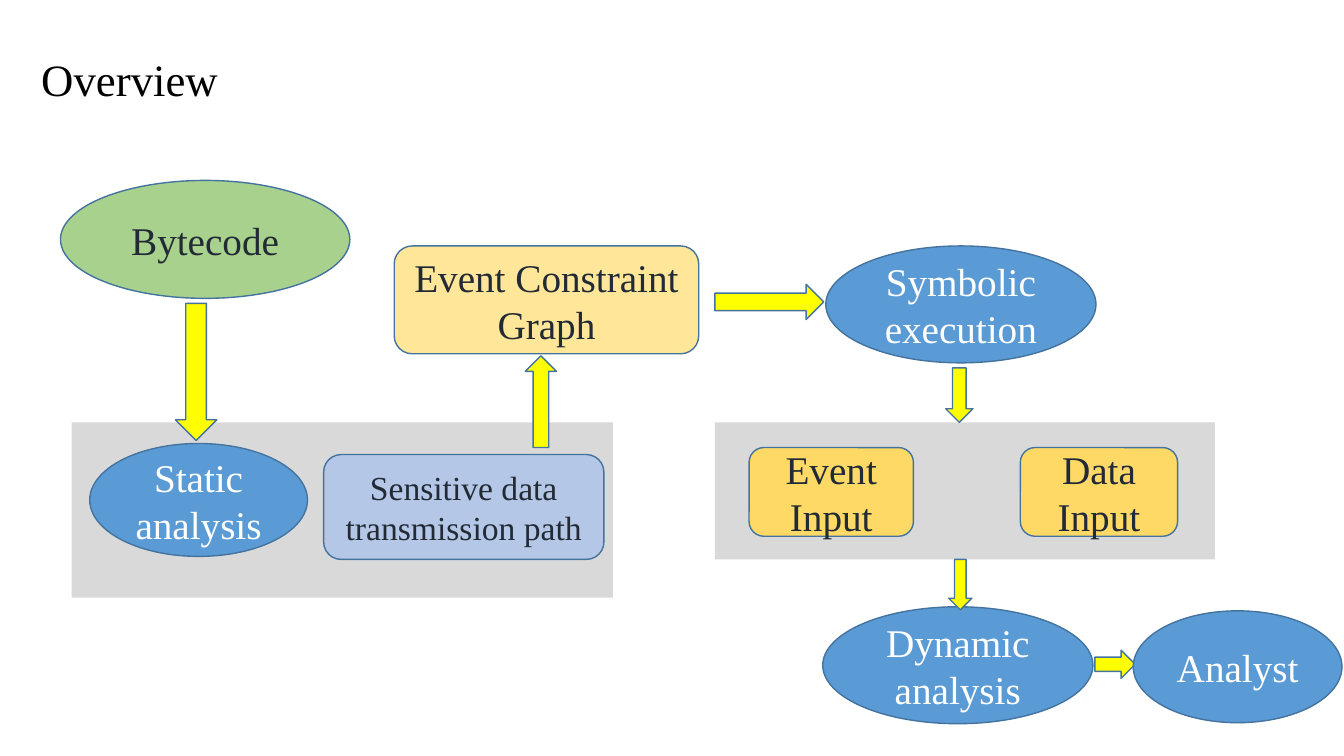
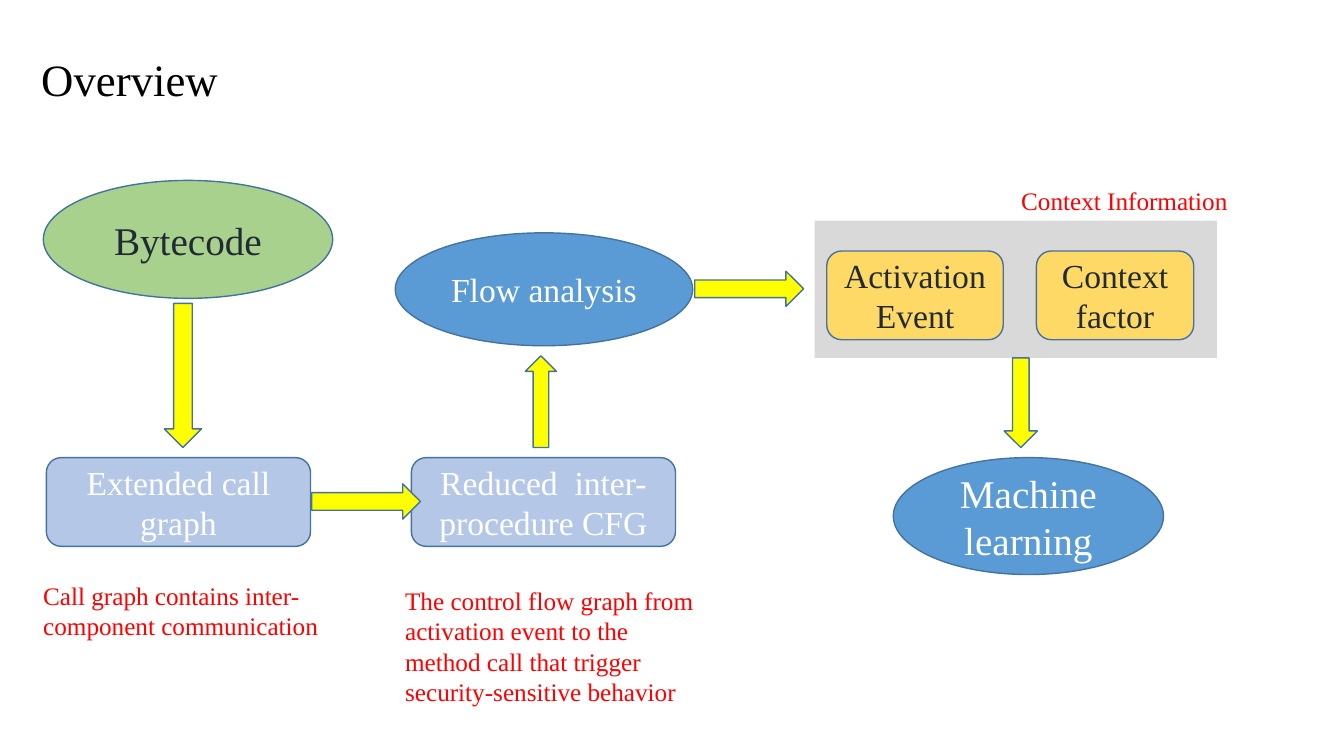
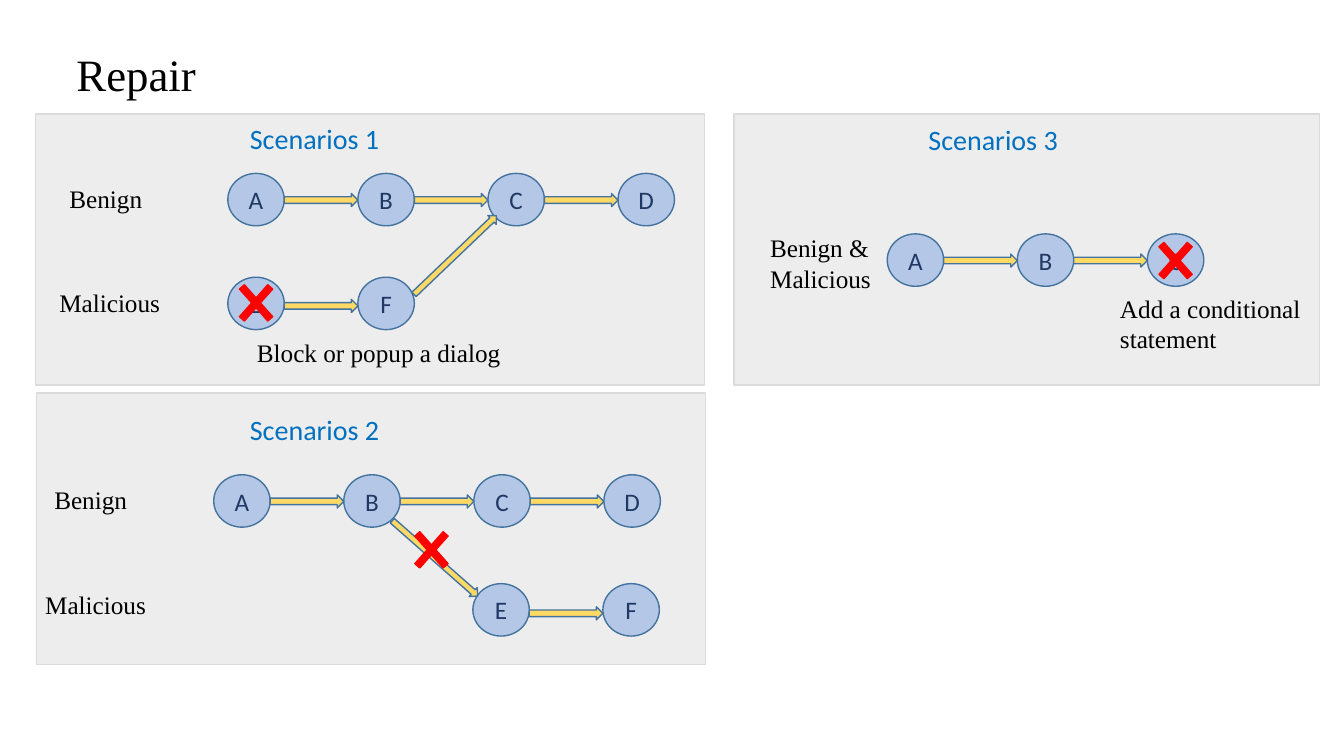
from pptx import Presentation
from pptx.dml.color import RGBColor
from pptx.enum.shapes import MSO_SHAPE
from pptx.enum.text import MSO_ANCHOR, MSO_AUTO_SIZE, PP_ALIGN
from pptx.util import Inches, Pt

# Grid: 13.33 columns by 7.5 rows of one square cell
CELL = Inches(1)
COLUMNS, ROWS = 13.33, 7.5

SERIF, SANS = "Times New Roman", "Calibri"
BLACK, WHITE, RED, BLUE = "000000", "FFFFFF", "FF0000", "0070C0"
DARK, NAVY, OUTLINE = "222A35", "203864", "43739E"
GREY, PALE, PALE_EDGE = "D9D9D9", "EDEDED", "DBDBDB"
STEEL, GREEN, LILAC = "5B9BD5", "A9D18E", "B4C7E7"
CREAM, GOLD, YELLOW = "FFE699", "FFD966", "FFFF00"

ELLIPSE, ROUNDED = MSO_SHAPE.OVAL, MSO_SHAPE.ROUNDED_RECTANGLE
CIRCLE, RECTANGLE = MSO_SHAPE.FLOWCHART_CONNECTOR, MSO_SHAPE.RECTANGLE
PROCESS, MULTIPLY = MSO_SHAPE.FLOWCHART_ALTERNATE_PROCESS, MSO_SHAPE.MATH_MULTIPLY
RIGHT, UP, DOWN = MSO_SHAPE.RIGHT_ARROW, MSO_SHAPE.UP_ARROW, MSO_SHAPE.DOWN_ARROW
MIDDLE, CENTER = MSO_ANCHOR.MIDDLE, PP_ALIGN.CENTER
GROW = MSO_AUTO_SIZE.SHAPE_TO_FIT_TEXT

# Kind of part: preset shape, fill, line, text colour
KINDS = {
    "panel": (RECTANGLE, GREY, None, DARK),
    "source": (ELLIPSE, GREEN, OUTLINE, DARK),
    "step": (ELLIPSE, STEEL, OUTLINE, WHITE),
    "round step": (CIRCLE, STEEL, OUTLINE, WHITE),
    "path": (ROUNDED, LILAC, OUTLINE, DARK),
    "graph": (ROUNDED, LILAC, OUTLINE, WHITE),
    "constraint": (PROCESS, CREAM, OUTLINE, DARK),
    "input": (ROUNDED, GOLD, OUTLINE, DARK),
    "right": (RIGHT, YELLOW, OUTLINE, DARK),
    "up": (UP, YELLOW, OUTLINE, DARK),
    "down": (DOWN, YELLOW, OUTLINE, DARK),
    "scenario": (RECTANGLE, PALE, PALE_EDGE, DARK),
    "node": (CIRCLE, LILAC, OUTLINE, NAVY),
    "link": (RIGHT, GOLD, OUTLINE, DARK),
    "cross": (MULTIPLY, RED, RED, DARK),
}

# Flow slides. Parts: kind, (left, top, width, height), then text and size
FLOWS = [
    {
        "title": ("Overview", (0.31, 0.46, 5.21, 0.64)),
        "parts": [
            ("panel", (7.09, 4.19, 4.96, 1.36)),
            ("panel", (0.71, 4.19, 5.37, 1.74)),
            ("source", (0.6, 1.79, 2.87, 1.17), "Bytecode", 28),
            ("round step", (0.89, 4.4, 2.16, 1.12), "Static analysis", 28),
            ("path", (3.21, 4.51, 2.78, 1.04), "Sensitive data transmission path", 24),
            ("constraint", (3.91, 2.44, 3.02, 1.07), "Event Constraint Graph", 28),
            ("step", (8.19, 2.44, 2.68, 1.16), "Symbolic execution", 28),
            ("input", (7.43, 4.44, 1.63, 0.88), "Event Input", 28),
            ("input", (10.12, 4.44, 1.56, 0.88), "Data Input", 28),
            ("step", (8.16, 6.02, 2.68, 1.16), "Dynamic analysis", 28),
            ("down", (1.74, 3.01, 0.41, 1.36)),
            ("up", (5.21, 3.53, 0.31, 0.91)),
            ("right", (7.09, 2.82, 1.08, 0.35)),
            ("down", (9.38, 3.65, 0.27, 0.54)),
            ("down", (9.41, 5.55, 0.23, 0.5)),
            ("right", (10.86, 6.45, 0.4, 0.28)),
            ("step", (11.24, 6.06, 2.07, 1.11), "Analyst", 28),
        ],
        "notes": [],
    },
    {
        "title": ("Overview", (0.31, 0.46, 6.38, 0.64)),
        "parts": [
            ("panel", (8.08, 2.19, 3.99, 1.36)),
            ("source", (0.43, 1.79, 2.87, 1.17), "Bytecode", 28),
            ("graph", (0.46, 4.54, 2.62, 0.88), "Extended call graph", 24),
            ("graph", (4.08, 4.54, 2.62, 0.88), "Reduced  inter-procedure CFG", 24),
            ("step", (3.92, 2.31, 2.95, 1.12), "Flow analysis", 24),
            ("input", (8.2, 2.49, 1.75, 0.88), "Activation Event", 24),
            ("input", (10.28, 2.49, 1.56, 0.88), "Context factor", 24),
            ("step", (8.86, 4.54, 2.68, 1.16), "Machine learning", 28),
            ("down", (1.63, 3.01, 0.37, 1.43)),
            ("up", (5.21, 3.53, 0.31, 0.91)),
            ("right", (6.89, 2.69, 1.08, 0.35)),
            ("down", (9.96, 3.55, 0.33, 0.89)),
            ("right", (3.09, 4.8, 1.08, 0.35)),
        ],
        "notes": [
            ("Call graph contains inter-component communication", (0.33, 5.71, 3.14, 0.71)),
            ("The control flow graph from activation event to the method call "
             "that trigger security-sensitive behavior", (3.92, 5.76, 3.14, 1.31)),
            ("Context Information", (10.03, 1.79, 2.36, 0.4)),
        ],
    },
]

# Scenarios. Rows: letters, first node's left and top, drop of the links
REPAIR_TITLE = ("Repair", (0.66, 0.41, 6.23, 0.64))
SCENARIOS = [
    {
        "heading": ("Scenarios 1", (2.38, 1.16, 1.58, 0.44)),
        "panel": (0.35, 1.13, 6.64, 2.69),
        "rows": [("ABCD", 2.26, 1.72, 0.2), ("EF", 2.26, 2.75, 0.22)],
        "branch": ((3.95, 2.47, 1.13, 0.12), 316.3),
        "cross": (2.27, 2.7),
        "labels": [
            ("Benign", (0.59, 1.77, 1.67, 0.4)),
            ("Malicious", (0.49, 2.8, 1.67, 0.4)),
            ("Block or popup a dialog", (2.45, 3.3, 2.89, 0.4)),
        ],
    },
    {
        "heading": ("Scenarios 2", (2.38, 4.04, 1.58, 0.44)),
        "panel": (0.36, 3.9, 6.64, 2.69),
        "rows": [("ABCD", 2.12, 4.71, 0.2), ("EF", 4.69, 5.79, 0.23)],
        "branch": ((3.75, 5.48, 1.13, 0.12), 41.4),
        "cross": (4.01, 5.15),
        "labels": [
            ("Benign", (0.44, 4.76, 1.67, 0.4)),
            ("Malicious", (0.35, 5.8, 1.67, 0.4)),
        ],
    },
    {
        "heading": ("Scenarios 3", (9.11, 1.17, 1.58, 0.44)),
        "panel": (7.28, 1.13, 5.81, 2.69),
        "rows": [("ABC", 8.8, 2.32, 0.2)],
        "branch": None,
        "cross": (11.39, 2.28),
        "labels": [
            ("Benign & Malicious", (7.54, 2.26, 1.67, 0.71)),
            ("Add a conditional statement", (11.01, 2.86, 2.08, 0.71)),
        ],
    },
]
NODE_WIDTH, NODE_HEIGHT = 0.56, 0.52
LINK_WIDTH, LINK_HEIGHT = 0.73, 0.13
PITCH = NODE_WIDTH + LINK_WIDTH
CROSS_SIZE = (0.54, 0.61)
CROSS_WEIGHT = 0.12


def color(code):
    return RGBColor.from_string(code)


def on_grid(area):
    return [round(cells * CELL) for cells in area]


def write(shape, text, size, font, ink):
    shape.text_frame.word_wrap = True
    para = shape.text_frame.paragraphs[0]
    para.text = text
    para.font.size, para.font.name = Pt(size), font
    para.font.color.rgb = color(ink)
    return para


def add_part(page, kind, area, text=None, size=18, font=SERIF):
    preset, fill, line, ink = KINDS[kind]
    part = page.shapes.add_shape(preset, *on_grid(area))
    part.shadow.inherit = False
    part.fill.solid()
    part.fill.fore_color.rgb = color(fill)
    if line:
        part.line.color.rgb = color(line)
        part.line.width = Pt(1)
    else:
        part.line.fill.background()
    if text:
        write(part, text, size, font, ink).alignment = CENTER
        part.text_frame.vertical_anchor = MIDDLE
    return part


def add_text(page, text, area, size=18, font=SERIF, ink=BLACK):
    box = page.shapes.add_textbox(*on_grid(area))
    write(box, text, size, font, ink)
    box.text_frame.auto_size = GROW


def add_page(deck, title):
    page = deck.slides.add_slide(deck.slide_layouts[6])
    add_text(page, *title, size=32)
    return page


def add_row(page, letters, left, top, drop):
    for column, letter in enumerate(letters):
        x = left + column * PITCH
        add_part(page, "node", (x, top, NODE_WIDTH, NODE_HEIGHT), letter, 18, SANS)
        if column:
            add_part(page, "link", (x - LINK_WIDTH, top + drop, LINK_WIDTH, LINK_HEIGHT))


def add_scenario(page, scenario):
    add_part(page, "scenario", scenario["panel"])
    for row in scenario["rows"]:
        add_row(page, *row)
    if scenario["branch"]:
        area, angle = scenario["branch"]
        add_part(page, "link", area).rotation = angle
    cross = add_part(page, "cross", scenario["cross"] + CROSS_SIZE)
    cross.adjustments[0] = CROSS_WEIGHT
    for label in scenario["labels"]:
        add_text(page, *label)
    add_text(page, *scenario["heading"], size=20, font=SANS, ink=BLUE)


def main():
    deck = Presentation()
    deck.slide_width, deck.slide_height = on_grid((COLUMNS, ROWS))
    for flow in FLOWS:
        page = add_page(deck, flow["title"])
        for part in flow["parts"]:
            add_part(page, *part)
        for note in flow["notes"]:
            add_text(page, *note, ink=RED)
    page = add_page(deck, REPAIR_TITLE)
    for scenario in SCENARIOS:
        add_scenario(page, scenario)
    deck.save("out.pptx")


if __name__ == "__main__":
    main()
